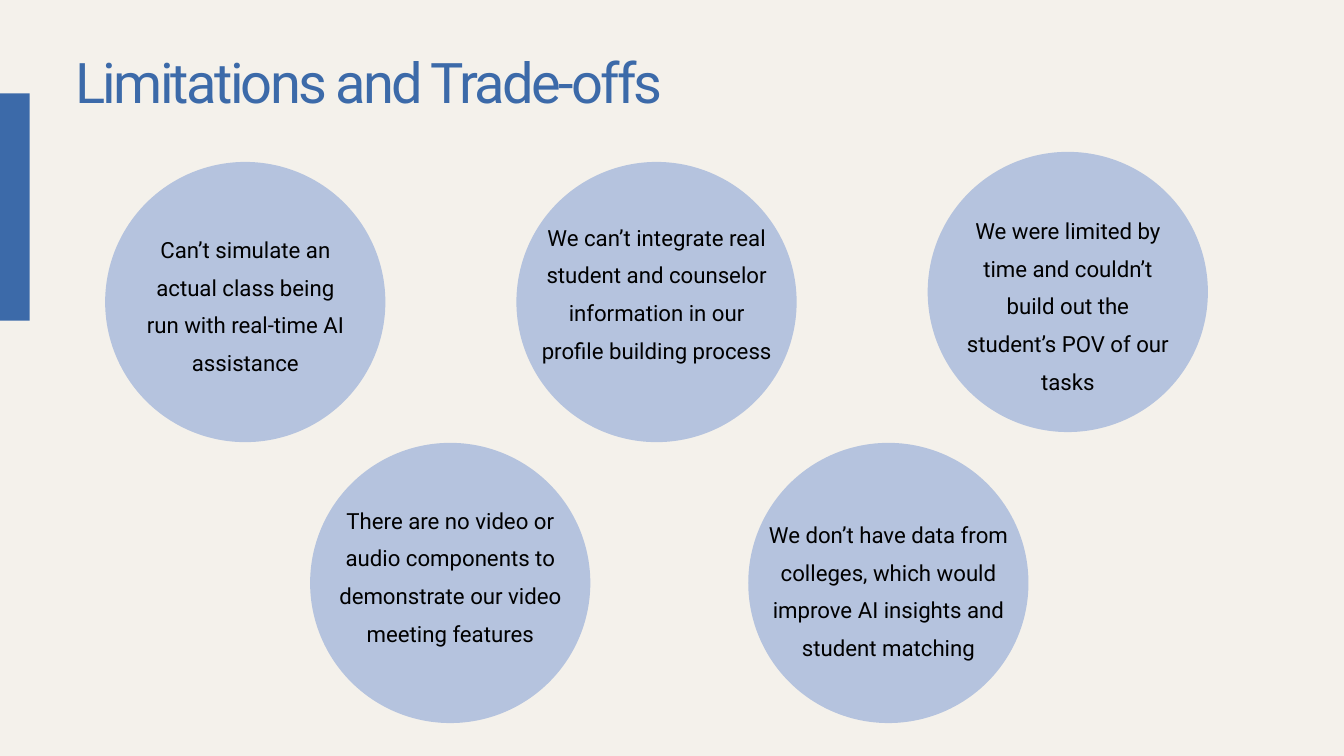
from pptx import Presentation
from pptx.dml.color import RGBColor
from pptx.enum.shapes import MSO_SHAPE
from pptx.enum.text import MSO_AUTO_SIZE, PP_ALIGN
from pptx.util import Inches, Pt

RECT, OVAL = MSO_SHAPE.RECTANGLE, MSO_SHAPE.OVAL
LEFT, CENTER = PP_ALIGN.LEFT, PP_ALIGN.CENTER
GROW = MSO_AUTO_SIZE.SHAPE_TO_FIT_TEXT
COLORS = {"paper": "F4F1EB", "blue": "3C6AA9", "circle": "B5C3DE", "text": "000000"}
FONT = "Roboto"

prs = Presentation()
prs.slide_width, prs.slide_height = Inches(20), Inches(11.25)
s = prs.slides.add_slide(prs.slide_layouts[6])
U = prs.slide_width / 20  # square grid: 20 columns by 11.25 rows


def add_shape(kind, x, y, w, h, color):
    sp = s.shapes.add_shape(kind, *(round(v * U) for v in (x, y, w, h)))
    sp.shadow.inherit = False
    sp.fill.solid()
    sp.fill.fore_color.rgb = RGBColor.from_string(COLORS[color])
    sp.line.fill.background()


def add_text(text, x, y, w, h, size=23.8, line=40.4, color="text", align=CENTER, track=0):
    tf = s.shapes.add_textbox(*(round(v * U) for v in (x, y, w, h))).text_frame
    tf.margin_left = tf.margin_right = tf.margin_top = tf.margin_bottom = 0
    tf.word_wrap = True
    tf.auto_size = GROW
    p = tf.paragraphs[0]
    p.alignment = align
    p.line_spacing = Pt(line)
    r = p.add_run()
    r.text = text
    r.font.name = FONT
    r.font.size = Pt(size)
    r.font.color.rgb = RGBColor.from_string(COLORS[color])
    if track:
        r._r.get_or_add_rPr().set("spc", str(round(track * 100)))


# Background, side bar and title
s.background.fill.solid()
s.background.fill.fore_color.rgb = RGBColor.from_string(COLORS["paper"])
add_shape(RECT, 0, 1.39, 0.44, 3.38, "blue")
add_text("Limitations and Trade-offs", 1.12, 0.97, 17.29, 0.81,
         size=60, line=53.4, color="blue", align=LEFT, track=-2.9)

# Circles: centre x, top, then text top, width, height and wording
DIAMETER = 4.17
TOP_X, TOP_STEP = 3.65, 6.12
limitations = [
    (TOP_X, 2.41, 3.35, 3.11, 2.19,
     "Can’t simulate an actual class being run with real-time AI assistance"),
    (TOP_X + TOP_STEP, 2.41, 3.17, 3.45, 2.75,
     "We can’t integrate real student and counselor information in our profile building process"),
    (TOP_X + 2 * TOP_STEP, 2.26, 3.07, 3.11, 2.75,
     "We were limited by time and couldn’t build out the student’s POV of our tasks"),
    (6.7, 6.59, 7.38, 3.31, 2.75,
     "There are no video or audio components to demonstrate our video meeting features"),
    (13.22, 6.59, 7.59, 3.64, 2.19,
     "We don’t have data from colleges, which would improve AI insights and student matching"),
]
for cx, top, text_top, w, h, text in limitations:
    add_shape(OVAL, cx - DIAMETER / 2, top, DIAMETER, DIAMETER, "circle")
    add_text(text, cx - w / 2, text_top, w, h)

prs.save("out.pptx")
